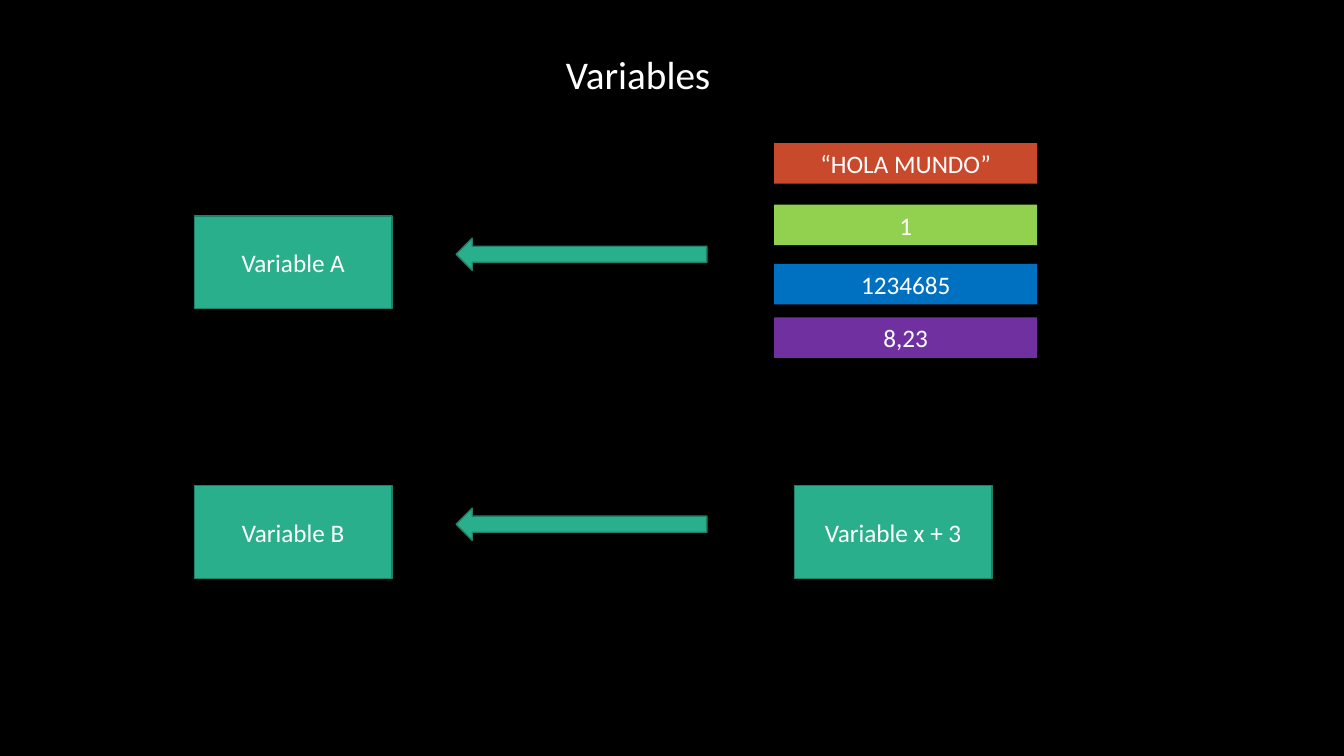
from pptx import Presentation
from pptx.dml.color import RGBColor
from pptx.enum.shapes import MSO_SHAPE
from pptx.enum.text import MSO_ANCHOR, MSO_AUTO_SIZE, PP_ALIGN
from pptx.util import Cm, Pt

COLORS = {
    "background": "000000",
    "text": "FFFFFF",
    "green": "29AF8C",
    "outline": "1E8168",
    "red": "C9492C",
    "lime": "92D050",
    "blue": "0070C0",
    "purple": "7030A0",
}
FRAME_FORMAT = {
    "word_wrap": True,
    "margin_left": Cm(0.25),
    "margin_right": Cm(0.25),
    "margin_top": Cm(0.13),
    "margin_bottom": Cm(0.13),
}
VALUES = [
    ("“HOLA MUNDO”", 3.61, "red"),
    ("1", 5.16, "lime"),
    ("1234685", 6.65, "blue"),
    ("8,23", 8.0, "purple"),
]
VARIABLE_LEFT, EXPRESSION_LEFT = 4.9, 20.02
ROW_A_TOP, ROW_B_TOP = 5.44, 12.24


def color(name):
    return RGBColor.from_string(COLORS[name])


def write_text(shape, text, size=18, anchor=MSO_ANCHOR.MIDDLE):
    frame = shape.text_frame
    frame.text = text
    for name, value in {**FRAME_FORMAT, "vertical_anchor": anchor}.items():
        setattr(frame, name, value)
    paragraph = frame.paragraphs[0]
    paragraph.alignment = PP_ALIGN.CENTER
    font = paragraph.runs[0].font
    for name, value in {"name": "Calibri", "size": Pt(size)}.items():
        setattr(font, name, value)
    font.color.rgb = color("text")


def add_title(slide, text):
    title = slide.shapes.title
    position = {"left": Cm(13.77), "top": Cm(1.14), "width": Cm(4.62), "height": Cm(1.45)}
    for name, value in position.items():
        setattr(title, name, value)
    write_text(title, text, 28, MSO_ANCHOR.TOP)
    title.text_frame.auto_size = MSO_AUTO_SIZE.SHAPE_TO_FIT_TEXT


def add_filled_shape(slide, kind, left, top, width, height, fill="green", outline="outline"):
    shape = slide.shapes.add_shape(kind, Cm(left), Cm(top), Cm(width), Cm(height))
    shape.shadow.inherit = False
    shape.fill.solid()
    shape.fill.fore_color.rgb = color(fill)
    if outline:
        shape.line.color.rgb = color(outline)
        shape.line.width = Pt(1)
    else:
        shape.line.fill.background()
    return shape


def add_variable_box(slide, text, left, top):
    box = add_filled_shape(slide, MSO_SHAPE.RECTANGLE, left, top, 4.98, 2.34)
    write_text(box, text)


def add_value_bar(slide, text, top, fill):
    bar = add_filled_shape(slide, MSO_SHAPE.RECTANGLE, 19.51, top, 6.63, 1.02, fill, None)
    write_text(bar, text, anchor=MSO_ANCHOR.TOP)
    bar.text_frame.auto_size = MSO_AUTO_SIZE.SHAPE_TO_FIT_TEXT


def add_assignment_arrow(slide, row_top):
    """Add an arrow that points left, towards the variable of its row."""
    arrow = add_filled_shape(slide, MSO_SHAPE.DOWN_ARROW, 14.25, row_top - 2.19, 0.81, 6.32)
    arrow.rotation = 90


def main():
    presentation = Presentation()
    presentation.slide_width = Cm(33.87)
    presentation.slide_height = Cm(19.05)
    slide = presentation.slides.add_slide(presentation.slide_layouts[5])
    slide.background.fill.solid()
    slide.background.fill.fore_color.rgb = color("background")

    add_title(slide, "Variables")
    for text, top in (("Variable A", ROW_A_TOP), ("Variable B", ROW_B_TOP)):
        add_variable_box(slide, text, VARIABLE_LEFT, top)
        add_assignment_arrow(slide, top)
    for text, top, fill in VALUES:
        add_value_bar(slide, text, top, fill)
    add_variable_box(slide, "Variable x + 3", EXPRESSION_LEFT, ROW_B_TOP)

    presentation.save("out.pptx")


if __name__ == "__main__":
    main()
